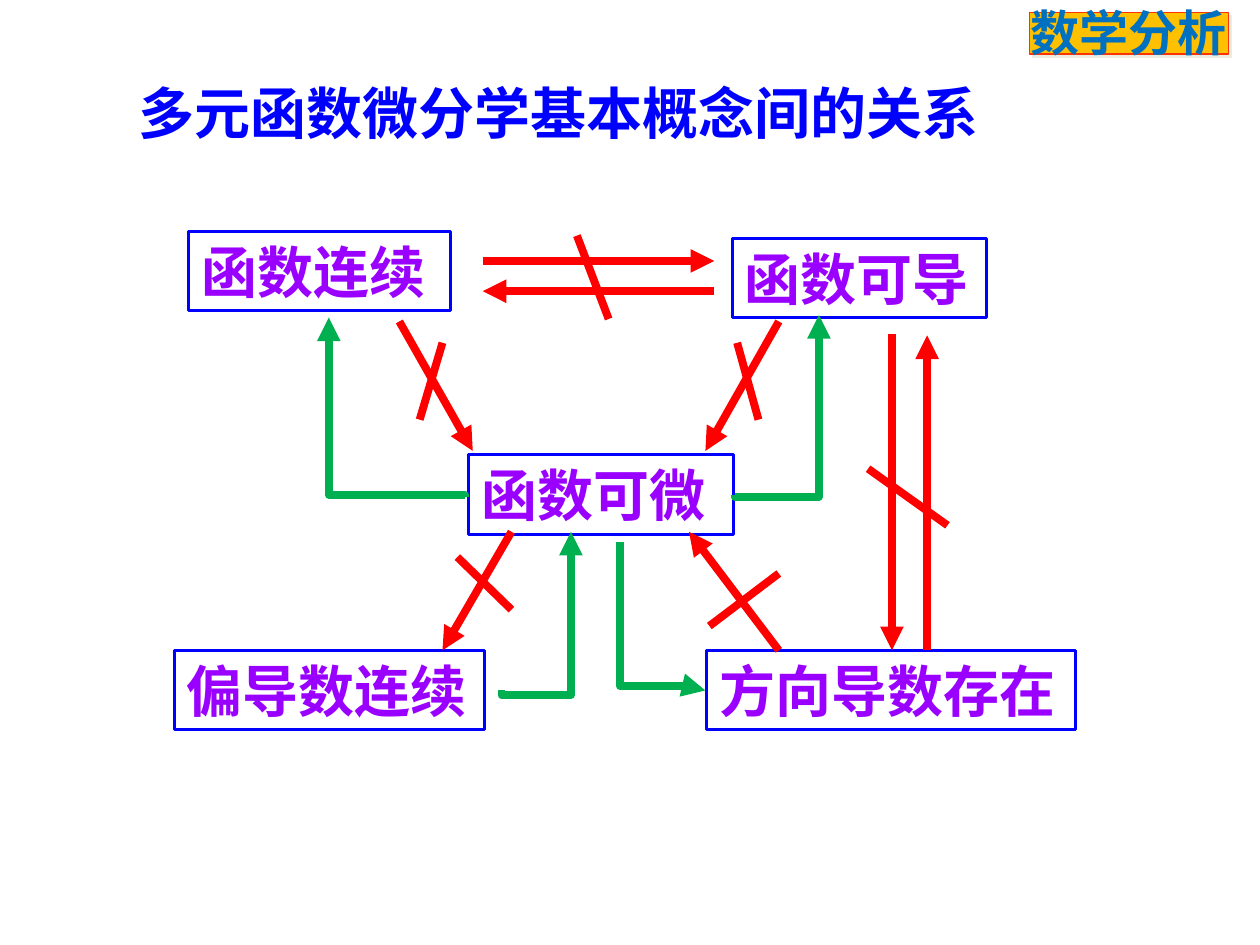
from dataclasses import dataclass

from lxml.etree import SubElement
from pptx import Presentation
from pptx.dml.color import RGBColor
from pptx.enum.shapes import MSO_CONNECTOR, MSO_SHAPE
from pptx.enum.text import MSO_ANCHOR, MSO_AUTO_SIZE, PP_ALIGN
from pptx.oxml.ns import qn
from pptx.util import Cm, Pt

RED, GREEN, BLUE, PURPLE = "FF0000", "00B050", "0000FF", "9900FF"
CHINESE_FONT = "Noto Sans CJK SC"
BOX_HEIGHT = 1.6
FRAME_FORMAT = {
    "word_wrap": True,
    "auto_size": MSO_AUTO_SIZE.NONE,
    "vertical_anchor": MSO_ANCHOR.MIDDLE,
    "margin_left": Cm(0.25),
    "margin_right": Cm(0.25),
    "margin_top": Cm(0.13),
    "margin_bottom": Cm(0.13),
}


@dataclass
class Concept:
    text: str
    left: float
    top: float
    width: float


@dataclass
class Arrow:
    start: tuple[float, float]
    end: tuple[float, float]


@dataclass
class Implication(Arrow):
    bend: float


@dataclass
class NonImplication:
    arrows: list[Arrow]
    strike: Arrow


CONCEPTS = [
    Concept("函数可微", 9.45, 9.17, 5.33),
    Concept("函数连续", 3.81, 4.67, 5.28),
    Concept("偏导数连续", 3.51, 13.11, 6.25),
    Concept("函数可导", 14.76, 4.8, 5.13),
    Concept("方向导数存在", 14.25, 13.11, 7.44),
]
IMPLICATIONS = [
    Implication((14.81, 9.98), (16.51, 6.35), -0.01),
    Implication((9.37, 10.01), (6.63, 6.4), 0.01),
    Implication((10.11, 13.92), (11.51, 10.72), -0.03),
    Implication((12.5, 10.92), (14.22, 13.92), 0.97),
]
NON_IMPLICATIONS = [
    NonImplication([Arrow((8.05, 6.48), (9.53, 9.09))],
                   Arrow((8.92, 6.91), (8.46, 8.46))),
    NonImplication([Arrow((9.73, 5.26), (14.4, 5.26)), Arrow((14.4, 5.87), (9.73, 5.87))],
                   Arrow((11.63, 4.75), (12.27, 6.43))),
    NonImplication([Arrow((10.31, 10.72), (8.92, 13.11))],
                   Arrow((9.22, 11.23), (10.31, 12.29))),
    NonImplication([Arrow((15.7, 6.48), (14.22, 9.09))],
                   Arrow((14.86, 6.91), (15.29, 8.46))),
    NonImplication([Arrow((18.69, 13.11), (18.69, 6.76)), Arrow((17.98, 6.73), (17.98, 13.11))],
                   Arrow((17.5, 9.45), (19.1, 10.59))),
    NonImplication([Arrow((15.7, 13.11), (13.89, 10.72))],
                   Arrow((14.3, 12.62), (15.7, 11.56))),
]


def color(value: str) -> RGBColor:
    return RGBColor.from_string(value)


def set_attributes(target, values: dict) -> None:
    for name, value in values.items():
        setattr(target, name, value)


def place(shape, left: float, top: float, width: float, height: float) -> None:
    set_attributes(shape, {"left": Cm(left), "top": Cm(top),
                           "width": Cm(width), "height": Cm(height)})


def write(shape, text: str, size: float, font_name: str, font_color: str):
    set_attributes(shape.text_frame, FRAME_FORMAT)
    paragraph = shape.text_frame.paragraphs[0]
    paragraph.alignment = PP_ALIGN.LEFT
    run = paragraph.add_run()
    run.text = text
    set_attributes(run.font, {"size": Pt(size), "bold": True, "name": font_name})
    run.font.color.rgb = color(font_color)
    properties = run._r.get_or_add_rPr()
    SubElement(properties, qn("a:ea"), typeface=CHINESE_FONT)
    return properties


def outline(shape, line_color: str, width: float) -> None:
    shape.line.color.rgb = color(line_color)
    shape.line.width = Pt(width)


def add_shadow(effects) -> None:
    shadow = SubElement(effects, qn("a:outerShdw"), dist=str(Pt(2.8)),
                        dir="2700000", algn="ctr", rotWithShape="0")
    SubElement(shadow, qn("a:srgbClr"), val="EEECE1")


def add_header(slide) -> None:
    banner = slide.shapes.add_shape(MSO_SHAPE.RECTANGLE, Cm(20.75), Cm(0.25), Cm(4.01), Cm(0.84))
    banner.shadow.inherit = False
    banner.fill.solid()
    banner.fill.fore_color.rgb = color("FFC000")
    outline(banner, "FF3300", 0.75)
    add_shadow(banner._element.spPr.find(qn("a:effectLst")))
    label = slide.shapes.add_textbox(Cm(20.52), Cm(-0.08), Cm(5.08), Cm(1.45))
    properties = write(label, "数学分析", 28, "Calibri", "0070C0")
    effects = SubElement(properties, qn("a:effectLst"))
    properties.find(qn("a:solidFill")).addnext(effects)
    add_shadow(effects)


def add_title(slide) -> None:
    title = slide.shapes.title
    place(title, 2.54, 1.47, 17.96, BOX_HEIGHT)
    write(title, "多元函数微分学基本概念间的关系", 32, "Times New Roman", BLUE)


def add_concept(slide, concept: Concept) -> None:
    box = slide.shapes.add_shape(MSO_SHAPE.RECTANGLE, Cm(concept.left), Cm(concept.top),
                                 Cm(concept.width), Cm(BOX_HEIGHT))
    box.shadow.inherit = False
    box.fill.background()
    outline(box, BLUE, 1.75)
    write(box, concept.text, 32, CHINESE_FONT, PURPLE)


def add_line(slide, arrow: Arrow, line_color: str, pointed: bool = True,
             kind=MSO_CONNECTOR.STRAIGHT):
    connector = slide.shapes.add_connector(kind, *map(Cm, arrow.start + arrow.end))
    outline(connector, line_color, 4.5)
    if pointed:
        SubElement(connector.line._get_or_add_ln(), qn("a:tailEnd"), type="triangle")
    SubElement(connector._element.spPr, qn("a:effectLst"))
    return connector


def add_implication(slide, implication: Implication) -> None:
    (start_x, start_y), (end_x, end_y) = implication.start, implication.end
    center_x, center_y = (start_x + end_x) / 2, (start_y + end_y) / 2
    half_x, half_y = (end_x - start_x) / 2, (end_y - start_y) / 2
    unrotated = Arrow((center_x - half_y, center_y + half_x),
                      (center_x + half_y, center_y - half_x))
    connector = add_line(slide, unrotated, GREEN, kind=MSO_CONNECTOR.ELBOW)
    properties = connector._element.spPr
    properties.find(qn("a:xfrm")).set("rot", str(90 * 60000))
    adjustments = properties.find(qn("a:prstGeom")).find(qn("a:avLst"))
    SubElement(adjustments, qn("a:gd"), name="adj1",
               fmla=f"val {round(implication.bend * 100000)}")


def add_non_implication(slide, relation: NonImplication) -> None:
    for arrow in relation.arrows:
        add_line(slide, arrow, RED)
    add_line(slide, relation.strike, RED, pointed=False)


def main() -> None:
    presentation = Presentation()
    set_attributes(presentation, {"slide_width": Cm(25.4), "slide_height": Cm(19.05)})
    slide = presentation.slides.add_slide(presentation.slide_layouts[5])
    add_header(slide)
    add_title(slide)
    for concept in CONCEPTS:
        add_concept(slide, concept)
    for implication in IMPLICATIONS:
        add_implication(slide, implication)
    for relation in NON_IMPLICATIONS:
        add_non_implication(slide, relation)
    presentation.save("out.pptx")


if __name__ == "__main__":
    main()
